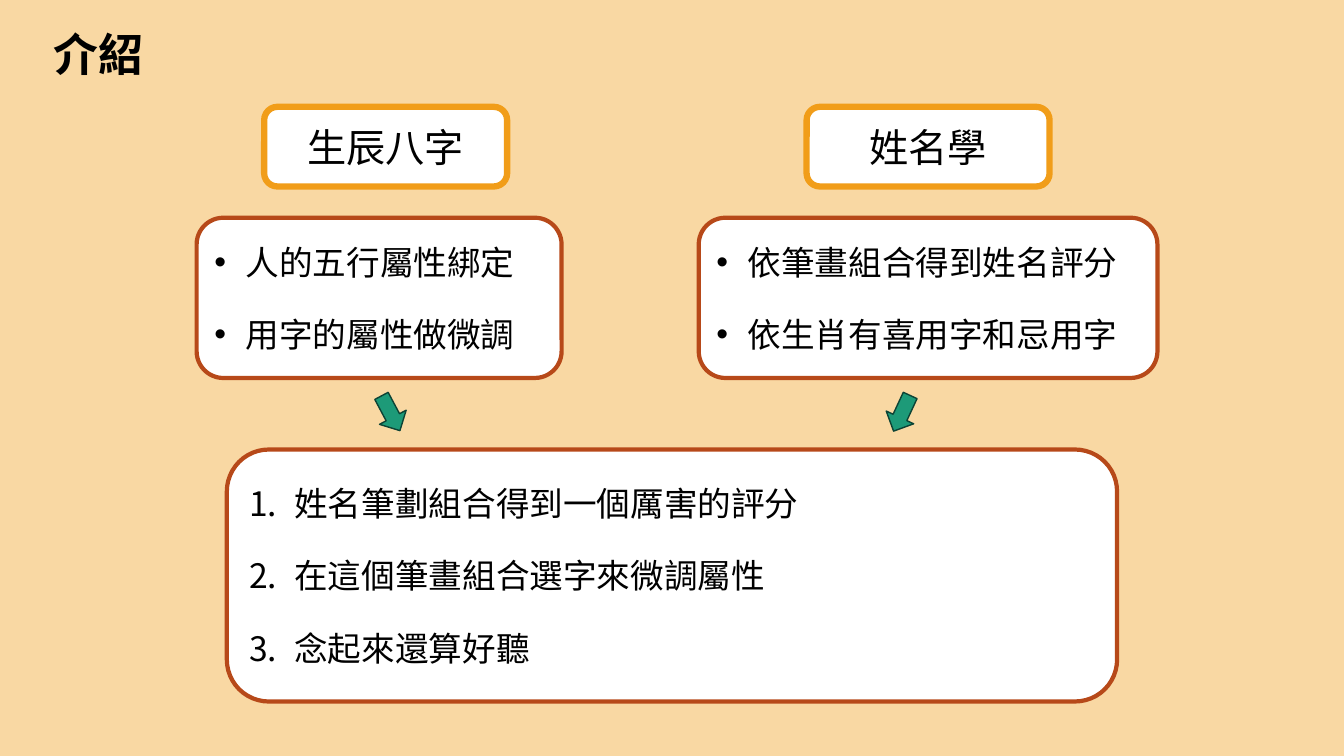
import pptx
import pptx.util
import pptx.dml.color
import pptx.enum.shapes
import pptx.enum.text
import pptx.oxml.ns
from lxml import etree

COLORS = {
    "sand": "F9D8A3",
    "white": "FFFFFF",
    "black": "000000",
    "amber": "F19D19",
    "rust": "B74919",
    "green": "1D9A78",
    "pine": "0D4335",
}
FONT = "Noto Sans CJK SC"
EMU_PER_PX = 9144
PRESET = pptx.enum.shapes.MSO_SHAPE
ALIGN = pptx.enum.text.PP_ALIGN
ANCHOR = pptx.enum.text.MSO_ANCHOR


def emu(*lengths):
    return [pptx.util.Emu(length * EMU_PER_PX) for length in lengths]


def color(name):
    return pptx.dml.color.RGBColor.from_string(COLORS[name])


class IntroSlide:
    """Holds the style and the slide, with a method for each kind of element."""

    def __init__(self, deck):
        self.slide = deck.slides.add_slide(deck.slide_layouts[5])
        self.paint(self.slide.background.fill, "sand")

    def paint(self, fill, name):
        fill.solid()
        fill.fore_color.rgb = color(name)

    def set_text(self, paragraph, text, size, align, bold=False):
        paragraph.text = text
        paragraph.alignment = align
        font = paragraph.font
        font.name = FONT
        font.size = pptx.util.Pt(size)
        font.bold = bold
        font.color.rgb = color("black")
        latin = paragraph._p.pPr.find(".//" + pptx.oxml.ns.qn("a:latin"))
        east_asian = etree.Element(pptx.oxml.ns.qn("a:ea"), typeface=FONT)
        latin.addnext(east_asian)

    def title(self, box, text):
        heading = self.slide.shapes.title
        heading.left, heading.top, heading.width, heading.height = emu(*box)
        frame = heading.text_frame
        frame.vertical_anchor = ANCHOR.TOP
        frame.auto_size = pptx.enum.text.MSO_AUTO_SIZE.NONE
        self.set_text(frame.paragraphs[0], text, 32, ALIGN.LEFT, bold=True)
        frame.paragraphs[0].line_spacing = 0.9

    def block(self, preset, box, fill, line, weight):
        block = self.slide.shapes.add_shape(preset, *emu(*box))
        block.shadow.inherit = False
        self.paint(block.fill, fill)
        block.line.color.rgb = color(line)
        block.line.width = pptx.util.Pt(weight)
        return block

    def label(self, box, text):
        label = self.block(PRESET.ROUNDED_RECTANGLE, box, "white", "amber", 4.5)
        self.set_text(label.text_frame.paragraphs[0], text, 28, ALIGN.CENTER)

    def panel(self, box, items, indent, numbered=False):
        panel = self.block(PRESET.ROUNDED_RECTANGLE, box, "white", "rust", 3)
        frame = panel.text_frame
        frame.word_wrap = True
        frame.vertical_anchor = ANCHOR.MIDDLE
        for index, item in enumerate(items):
            paragraph = frame.paragraphs[0] if index == 0 else frame.add_paragraph()
            self.set_text(paragraph, item, 24, ALIGN.LEFT)
            if index:
                paragraph.space_before = pptx.util.Pt(23)
            self.mark(paragraph, indent, numbered)

    def mark(self, paragraph, indent, numbered):
        properties = paragraph._p.pPr
        properties.set("marL", str(indent * EMU_PER_PX))
        properties.set("indent", str(-indent * EMU_PER_PX))
        if numbered:
            marks = [("a:buAutoNum", {"type": "arabicPeriod"})]
        else:
            marks = [("a:buFont", {"typeface": "Arial"}), ("a:buChar", {"char": "•"})]
        defaults = properties.find(pptx.oxml.ns.qn("a:defRPr"))
        for tag, attributes in marks:
            defaults.addprevious(etree.Element(pptx.oxml.ns.qn(tag), attributes))

    def arrow(self, box, rotation):
        arrow = self.block(PRESET.RIGHT_ARROW, box, "green", "pine", 1)
        arrow.rotation = rotation


def main():
    deck = pptx.Presentation()
    deck.slide_width, deck.slide_height = emu(1333, 750)
    intro = IntroSlide(deck)
    intro.title((43, 28, 498, 118), "介紹")

    methods = [
        ("生辰八字", 262, (195, 362), ["人的五行屬性綁定", "用字的屬性做微調"], 368, 62),
        ("姓名學", 800, (693, 455), ["依筆畫組合得到姓名評分", "依生肖有喜用字和忌用字"], 875, 114.9),
    ]
    for name, label_left, (left, width), points, arrow_left, rotation in methods:
        intro.label((label_left, 106, 241, 79), name)
        intro.panel((left, 216, width, 159), points, indent=31)
        intro.arrow((arrow_left, 395, 39, 30), rotation)

    goals = ["姓名筆劃組合得到一個厲害的評分", "在這個筆畫組合選字來微調屬性", "念起來還算好聽"]
    intro.panel((225, 446, 883, 250), goals, indent=45, numbered=True)
    deck.save("out.pptx")


if __name__ == "__main__":
    main()
